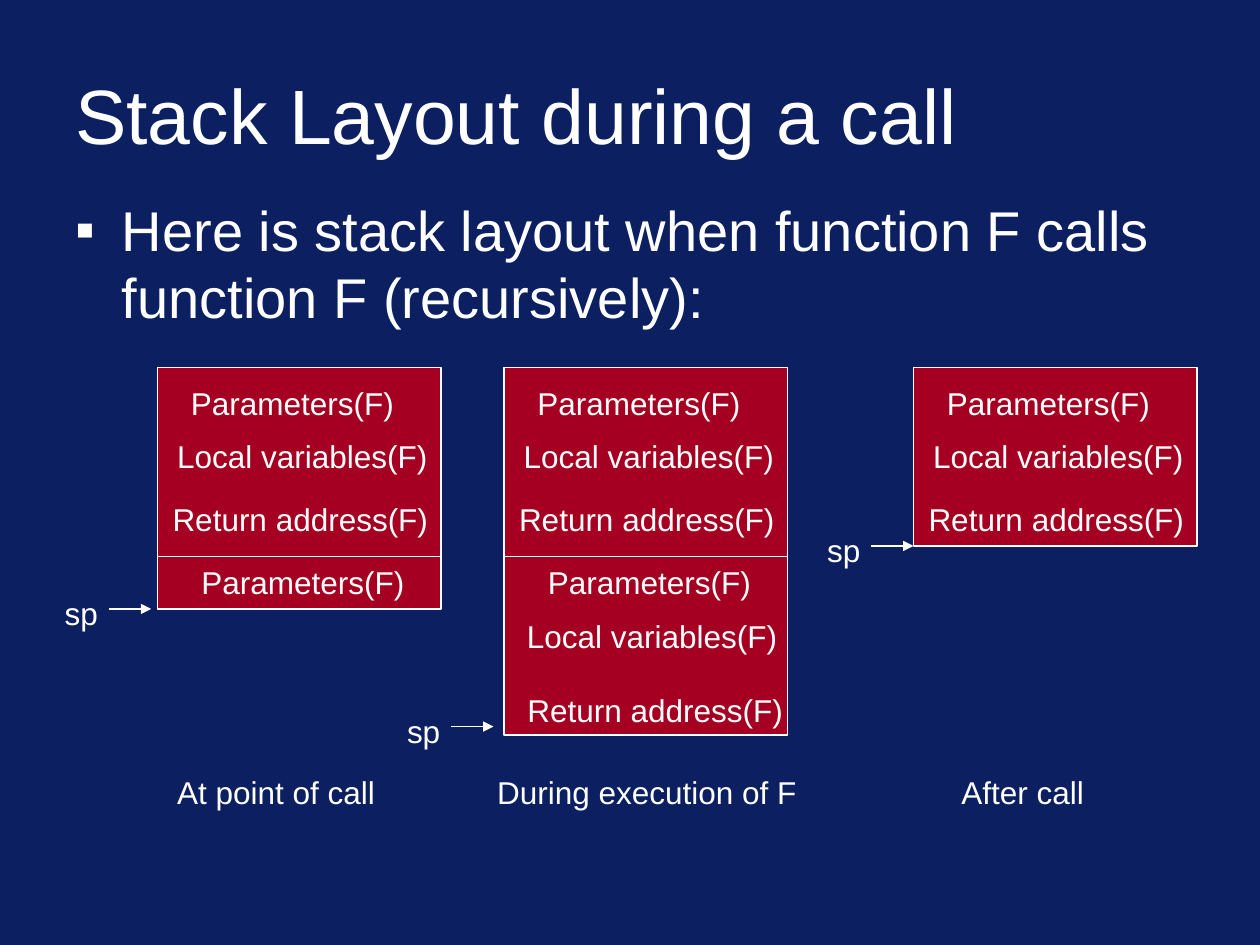
from lxml.etree import SubElement
from pptx import Presentation
from pptx.dml.color import RGBColor
from pptx.enum.shapes import MSO_CONNECTOR as CONN, MSO_SHAPE as SHAPE
from pptx.enum.text import MSO_ANCHOR as ANCHOR, MSO_AUTO_SIZE as AUTO, PP_ALIGN as ALIGN
from pptx.oxml.ns import qn
from pptx.util import Inches, Pt

NAVY, RED, WHITE = "0B1F61", "A50021", "FFFFFF"
UNITS_PER_INCH = 12
STACK_WIDTH = 27
FRAME_ROWS = 18
LABEL_ROWS = 4.8
CAPTION_ROW = 73

PARAMS = ("Parameters(F)", 22.1)
LOCALS = ("Local variables(F)", 26.6)
RETURN = ("Return address(F)", 27.2)
CALLER = [(1.8, 1, PARAMS), (0.5, 6, LOCALS), (0, 12, RETURN)]
ARGUMENT = [(2.8, 18, PARAMS)]
CALLEE = [(0.8, 23.2, LOCALS), (0.8, 30.2, RETURN)]

STACKS = [
    dict(box=(15, 35, STACK_WIDTH, 23), labels=CALLER + ARGUMENT,
         tip=(14.4, 58), caption=("At point of call", 15.2, 22.2)),
    dict(box=(48, 35, STACK_WIDTH, 35), labels=CALLER + ARGUMENT + CALLEE,
         tip=(47, 69.2), caption=("During execution of F", 45.7, 31.8)),
    dict(box=(87, 35, STACK_WIDTH, 17), labels=CALLER,
         tip=(87, 52), caption=("After call", 89.9, 15)),
]


def color(value):
    return RGBColor.from_string(value)


def grid(*units):
    return [Inches(u / UNITS_PER_INCH) for u in units]


def add_text(s, text, box, size=18, align=ALIGN.CENTER, anchor=ANCHOR.TOP,
             wrap=False, bullet=None, indent=0, before=0):
    sp = s.shapes.add_textbox(*grid(*box))
    tf = sp.text_frame
    tf.word_wrap = wrap
    tf.auto_size = AUTO.NONE if wrap else AUTO.SHAPE_TO_FIT_TEXT
    tf.vertical_anchor = anchor
    p = tf.paragraphs[0]
    p.alignment = align
    p.space_before = Pt(before)
    if bullet:
        pPr = p._p.get_or_add_pPr()
        pPr.set("marL", str(Inches(indent)))
        pPr.set("indent", str(-Inches(indent)))
        SubElement(pPr, qn("a:buFont"), typeface="Arial")
        SubElement(pPr, qn("a:buChar"), char=bullet)
    r = p.add_run()
    r.text = text
    r.font.name = "Arial"
    r.font.size = Pt(size)
    r.font.color.rgb = color(WHITE)


def add_line(s, x1, y1, x2, y2, arrow=False):
    line = s.shapes.add_connector(CONN.STRAIGHT, *grid(x1, y1, x2, y2))
    line.line.color.rgb = color(WHITE)
    line.line.width = Pt(0.75)
    if arrow:
        SubElement(line.line._get_or_add_ln(), qn("a:tailEnd"), type="triangle")
    SubElement(line._element.spPr, qn("a:effectLst"))


def add_stack(s, box, labels):
    x, y, w, h = box
    sp = s.shapes.add_shape(SHAPE.RECTANGLE, *grid(*box))
    sp.shadow.inherit = False
    sp.fill.solid()
    sp.fill.fore_color.rgb = color(RED)
    sp.line.color.rgb = color(WHITE)
    sp.line.width = Pt(0.75)
    for dx, dy, (text, width) in labels:
        add_text(s, text, (x + dx, y + dy, width, LABEL_ROWS))
    if h > FRAME_ROWS:
        add_line(s, x, y + FRAME_ROWS, x + w, y + FRAME_ROWS)


def add_pointer(s, x, y):
    add_text(s, "sp", (x - 9.8, y - 2, 6.3, LABEL_ROWS))
    add_line(s, x - 4, y, x, y, arrow=True)


def add_heading(s, box):
    x, y, w, h = box
    add_text(s, "Stack Layout during a call", (x, y, w, 12), size=44,
             align=ALIGN.LEFT, anchor=ANCHOR.MIDDLE, wrap=True)
    add_text(s, "Here is stack layout when function F calls function F (recursively):",
             (x, y + 13.2, w, h - 13.2), size=32, align=ALIGN.LEFT, wrap=True,
             bullet="▪", indent=0.37)


def main():
    prs = Presentation()
    prs.slide_width, prs.slide_height = Inches(10), Inches(7.5)
    s = prs.slides.add_slide(prs.slide_layouts[6])
    s.background.fill.solid()
    s.background.fill.fore_color.rgb = color(NAVY)
    add_heading(s, (6, 4.8, 108, 29.2))
    for stack in STACKS:
        add_stack(s, stack["box"], stack["labels"])
        add_pointer(s, *stack["tip"])
        text, x, w = stack["caption"]
        add_text(s, text, (x, CAPTION_ROW, w, LABEL_ROWS))
    prs.save("out.pptx")


if __name__ == "__main__":
    main()
